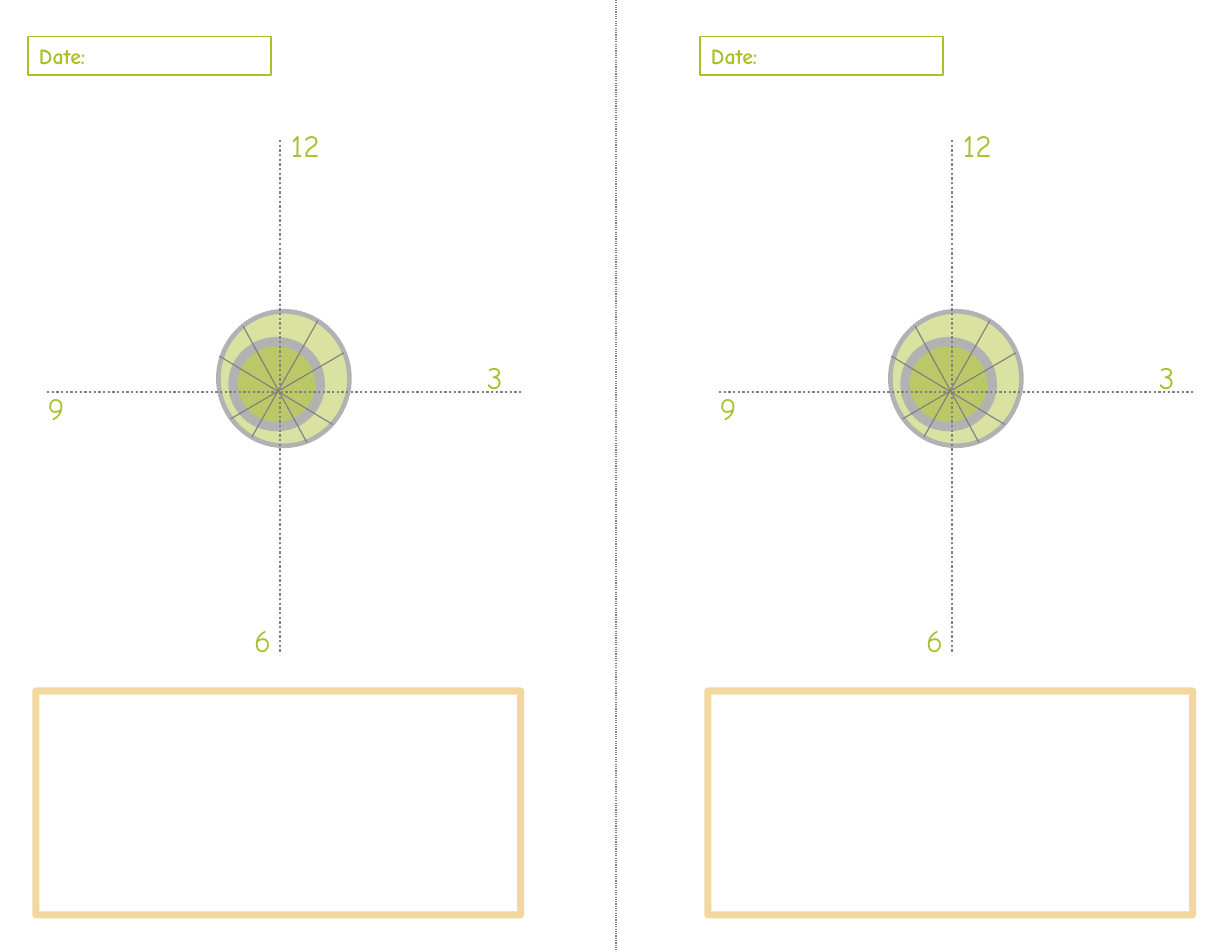
from lxml import etree
from pptx import Presentation
from pptx.dml.color import RGBColor
from pptx.enum.dml import MSO_LINE
from pptx.enum.shapes import MSO_CONNECTOR, MSO_SHAPE
from pptx.enum.text import MSO_ANCHOR, MSO_AUTO_SIZE, PP_ALIGN
from pptx.oxml.ns import qn
from pptx.util import Inches, Pt

STRAIGHT = MSO_CONNECTOR.STRAIGHT
OVAL, RECT = MSO_SHAPE.OVAL, MSO_SHAPE.RECTANGLE
DOT = MSO_LINE.ROUND_DOT
TOP, LEFT, GROW = MSO_ANCHOR.TOP, PP_ALIGN.LEFT, MSO_AUTO_SIZE.SHAPE_TO_FIT_TEXT

FONT = "Comic Neue"
LIME, OLIVE, AMBER = "AABF2B", "98AB27", "E0990A"
GRAY, SILVER = "808080", "B2B2B2"

SPOKES = [
    (2.97, 3.79, 1.96, 3.18),
    (2.17, 2.91, 2.74, 3.95),
    (2.06, 3.74, 3.07, 3.15),
    (2.84, 2.86, 2.25, 3.9),
]
HOURS = [
    ("6", 2.17, 5.5, 0.42, 0.44),
    ("9", 0.33, 3.43, 0.42, 0.44),
    ("12", 2.5, 1.08, 0.5, 0.77),
    ("3", 4.25, 3.15, 0.5, 0.44),
]


def color(code):
    return RGBColor.from_string(code)


class Sheet:
    """Draws styled elements on the current slide, shifted by the page offset."""

    def __init__(self, slide):
        self.slide = slide
        self.shift = 0

    def place(self, x, y, w, h):
        return Inches(x + self.shift), Inches(y), Inches(w), Inches(h)

    def line(self, x1, y1, x2, y2, width=0.75, dash=None, group=None):
        ends = (Inches(x1 + self.shift), Inches(y1), Inches(x2 + self.shift), Inches(y2))
        line = (group or self.slide).shapes.add_connector(STRAIGHT, *ends)
        line.line.color.rgb = color(GRAY)
        line.line.width = Pt(width)
        if dash:
            line.line.dash_style = dash
        etree.SubElement(line.element.spPr, qn("a:effectLst"))

    def shape(self, kind, box, edge, width, fill=None, alpha=None, group=None):
        shape = (group or self.slide).shapes.add_shape(kind, *self.place(*box))
        shape.shadow.inherit = False
        if fill:
            shape.fill.solid()
            shape.fill.fore_color.rgb = color(fill)
        else:
            shape.fill.background()
        shape.line.color.rgb = color(edge)
        shape.line.width = Pt(width)
        if alpha:
            tint = shape.element.find(".//" + qn("a:srgbClr"))
            etree.SubElement(tint, qn("a:alpha"), val=str(alpha * 1000))
        return shape

    def text(self, shape, words, size, space, bold=False):
        frame = shape.text_frame
        frame.text = words
        frame.word_wrap = True
        frame.auto_size = GROW
        frame.vertical_anchor = TOP
        para = frame.paragraphs[0]
        para.alignment = LEFT
        para.space_before = Pt(space)
        font = para.runs[0].font
        font.name, font.size, font.bold = FONT, Pt(size), bold
        font.color.rgb = color(LIME)

    def label(self, words, *box):
        self.text(self.slide.shapes.add_textbox(*self.place(*box)), words, 20, 12.5)

    def dial(self):
        group = self.slide.shapes.add_group_shape()
        self.shape(OVAL, (1.95, 2.78, 1.17, 1.2), SILVER, 3, LIME, 44, group)
        self.shape(OVAL, (2.08, 3.05, 0.78, 0.76), SILVER, 6, OLIVE, 47, group)
        for spoke in SPOKES:
            self.line(*spoke, group=group)

    def page(self, shift):
        self.shift = shift
        self.dial()
        self.line(2.5, 1.25, 2.5, 5.83, 1.5, DOT)
        self.line(0.42, 3.5, 4.67, 3.5, 1.5, DOT)
        for hour in HOURS:
            self.label(*hour)
        self.shape(RECT, (0.32, 6.17, 4.33, 2), AMBER, 4.5, alpha=39)
        date = self.shape(RECT, (0.25, 0.33, 2.17, 0.34), LIME, 0.75)
        self.text(date, "Date:", 14, 8.8, bold=True)


def main():
    deck = Presentation()
    deck.slide_width, deck.slide_height = Inches(11), Inches(8.5)
    sheet = Sheet(deck.slides.add_slide(deck.slide_layouts[6]))
    sheet.line(5.5, 0, 5.5, 8.5, dash=DOT)
    for shift in (0, 6):
        sheet.page(shift)
    deck.save("out.pptx")


if __name__ == "__main__":
    main()
